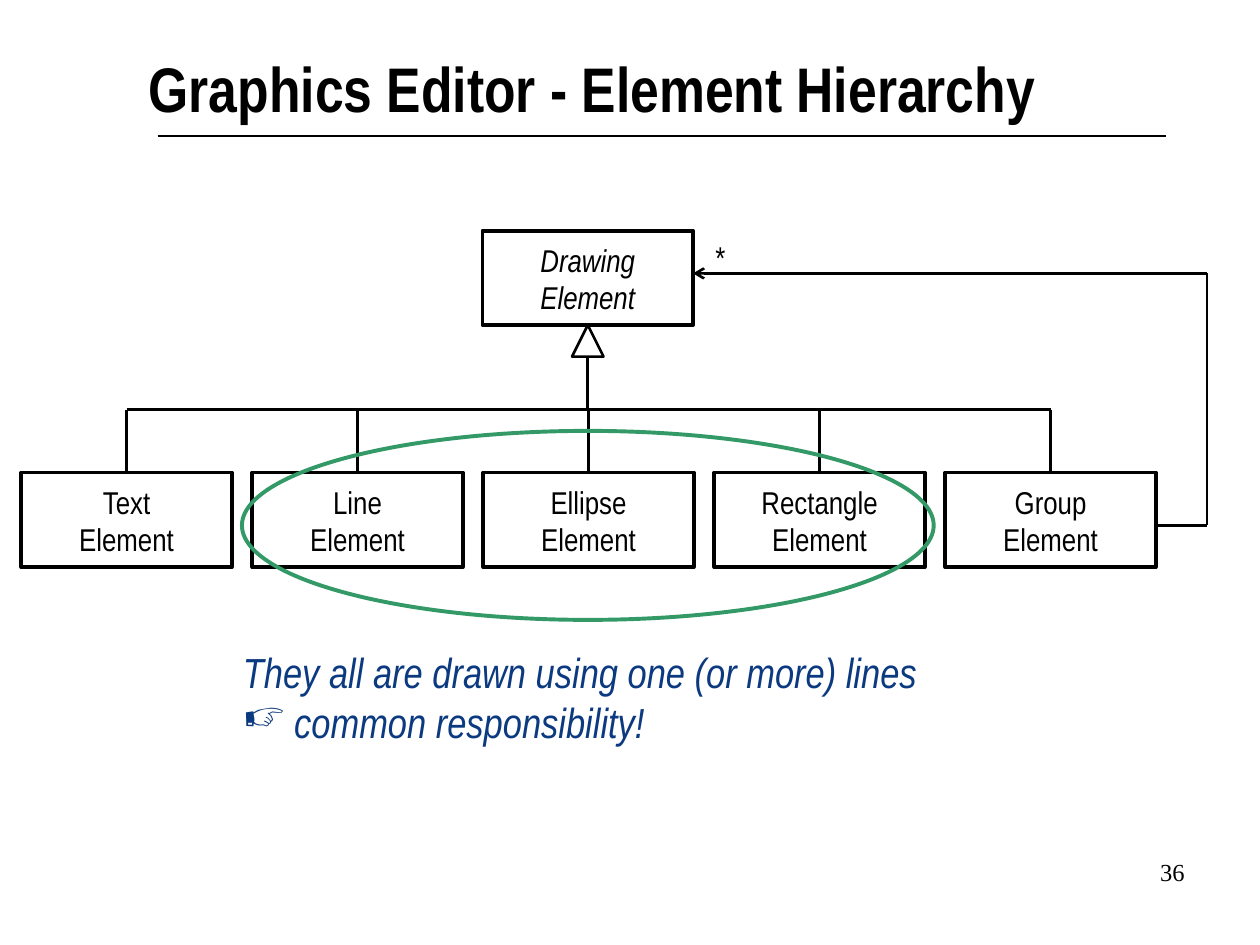
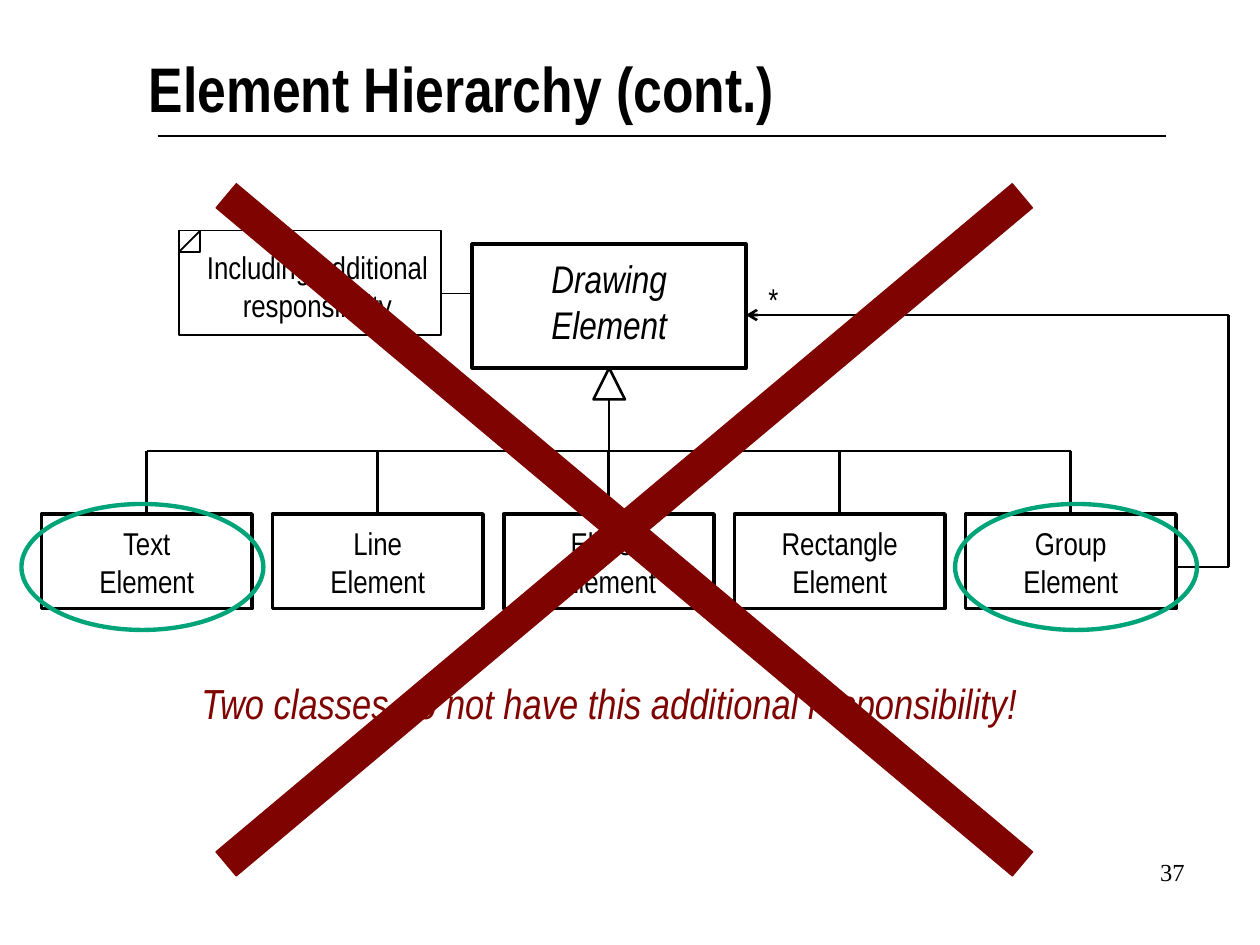
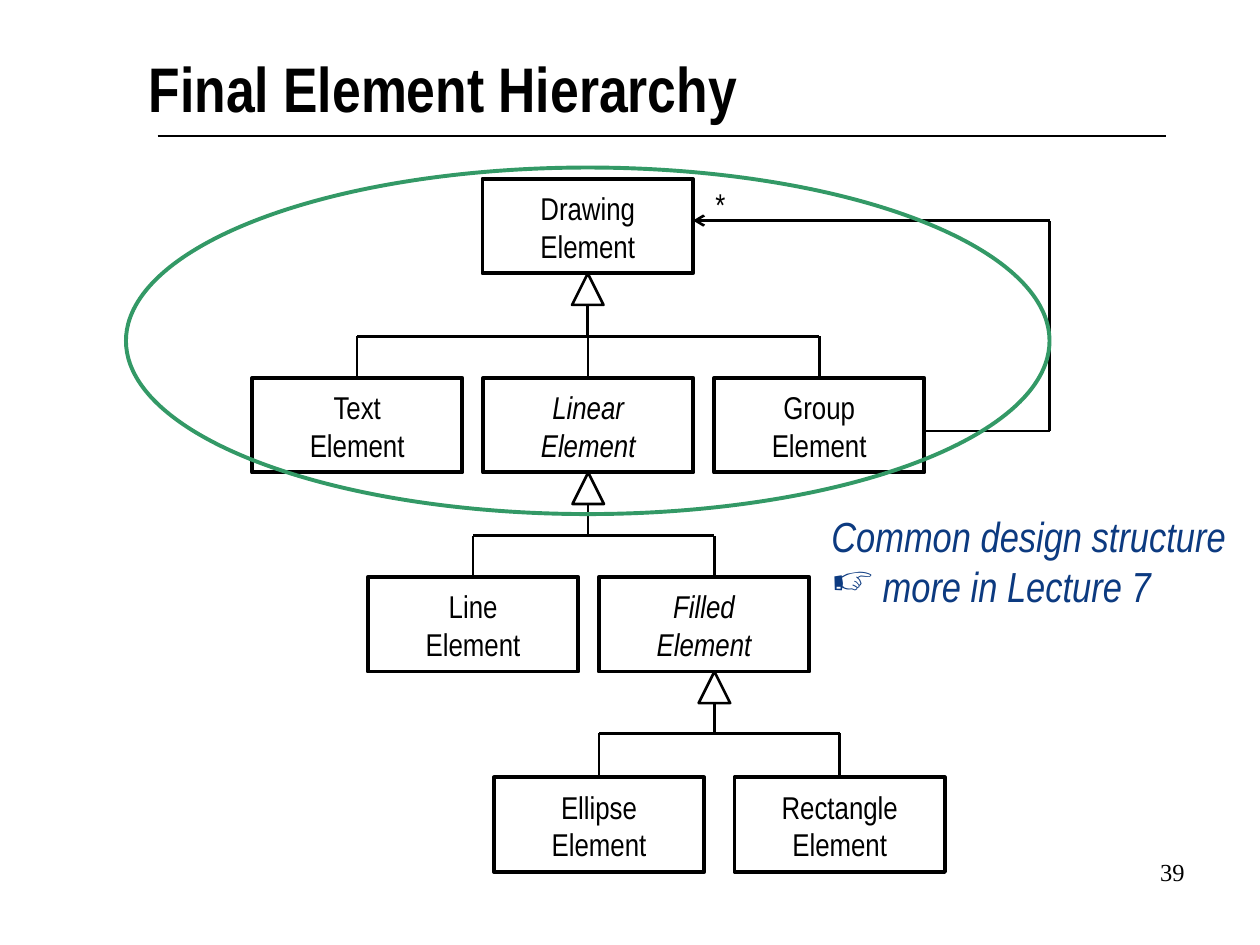
from lxml import etree
from pptx import Presentation
from pptx import util as u
from pptx.dml.color import RGBColor
from pptx.enum import shapes, text
from pptx.oxml import ns

Inches = u.Inches
SHAPE = shapes.MSO_SHAPE
ALIGN = text.PP_ALIGN

BLACK = RGBColor(0x00, 0x00, 0x00)
GREEN = RGBColor(0x33, 0x99, 0x66)
TEAL = RGBColor(0x00, 0xA4, 0x79)
BLUE = RGBColor(0x0C, 0x3A, 0x80)
RED = RGBColor(0x7F, 0x03, 0x00)

SANS = "Arial Narrow"
SERIF = "Times New Roman"
BOX_W, BOX_H = 1.67, 0.75
PITCH = 11 / 6          # distance between neighbouring class boxes
ARROW_SIDE = 0.25


# Basic elements
def line(s, x1, y1, x2, y2, width=1.5, arrow=False):
    c = s.shapes.add_connector(shapes.MSO_CONNECTOR.STRAIGHT,
                               Inches(x1), Inches(y1), Inches(x2), Inches(y2))
    c.line.color.rgb = BLACK
    c.line.width = u.Pt(width)
    if arrow:
        tail = etree.SubElement(c.line._get_or_add_ln(), ns.qn("a:tailEnd"))
        tail.set("type", "arrow")
    etree.SubElement(c._element.spPr, ns.qn("a:effectLst"))
    return c


def shape(s, kind, x, y, w, h, color=BLACK, width=2.25, fill=None):
    sp = s.shapes.add_shape(kind, Inches(x), Inches(y), Inches(w), Inches(h))
    sp.shadow.inherit = False
    sp.line.color.rgb = color
    sp.line.width = u.Pt(width)
    if fill is None:
        sp.fill.background()
    else:
        sp.fill.solid()
        sp.fill.fore_color.rgb = fill
    return sp


def style(tf, size, color=BLACK, font=SANS, bold=False, italic=False, align=ALIGN.LEFT):
    for p in tf.paragraphs:
        p.alignment = align
        for r in p.runs:
            r.font.name = font
            r.font.size = u.Pt(size)
            r.font.bold = bold
            r.font.italic = italic
            r.font.color.rgb = color


def label(s, words, x, y, w, h, size=18, wrap=False, **look):
    sp = s.shapes.add_textbox(Inches(x), Inches(y), Inches(w), Inches(h))
    tf = sp.text_frame
    tf.word_wrap = wrap
    tf.text = words
    style(tf, size, **look)
    return tf


def remark(s, words, x, y, w, h, color):
    """Large italic comment; a second paragraph gets a pointing hand."""
    tf = label(s, words, x, y, w, h, 24, color=color, italic=True)
    for p in tf.paragraphs[1:]:
        pPr = p._p.get_or_add_pPr()
        pPr.set("marL", "0")
        pPr.set("indent", "0")
        etree.SubElement(pPr, ns.qn("a:buChar")).set("char", "☞")


# Class diagram elements
def class_box(s, name, x, y, w=BOX_W, h=BOX_H, size=18, abstract=False):
    sp = shape(s, SHAPE.RECTANGLE, x, y, w, h)
    tf = sp.text_frame
    tf.word_wrap = True
    tf.vertical_anchor = text.MSO_ANCHOR.TOP
    tf.margin_top = Inches(0.08)
    tf.text = name + "\vElement"
    style(tf, size, italic=abstract, align=ALIGN.CENTER)
    return sp


def class_row(s, names, x, y, abstract=(), pitch=PITCH):
    return [class_box(s, name, x + i * pitch, y, abstract=name in abstract)
            for i, name in enumerate(names)]


def center_x(sp):
    return (sp.left + sp.width / 2) / Inches(1)


def inheritance(s, parent, children, bus_y, stem_x=None, last_x=None):
    """Triangle under the parent, a stem, a bus and a drop to each child."""
    stem_x = stem_x or center_x(parent)
    top = (parent.top + parent.height) / Inches(1)
    shape(s, SHAPE.ISOSCELES_TRIANGLE, stem_x - ARROW_SIDE / 2, top,
          ARROW_SIDE, ARROW_SIDE, width=1.5)
    line(s, stem_x, bus_y, stem_x, top + ARROW_SIDE)
    drops = [center_x(child) for child in children]
    if last_x:
        drops[-1] = last_x
    for child, x in zip(children, drops):
        drop = line(s, x, child.top / Inches(1), x, bus_y)
        if x == center_x(child):
            drop.begin_connect(child, 0)
    line(s, drops[0], bus_y, drops[-1], bus_y)


def containment(s, group, root, far_x, root_y):
    """Path from the group's right side back to the root, marked '*'."""
    group_x = (group.left + group.width) / Inches(1)
    group_y = group.top / Inches(1) + 0.42
    root_x = (root.left + root.width) / Inches(1)
    line(s, group_x, group_y, far_x, group_y)
    line(s, far_x, group_y, far_x, root_y)
    line(s, far_x, root_y, root_x, root_y, arrow=True)
    label(s, "*", root_x + 0.08, root_y - 0.33, 0.28, 0.4)


def note(s, words, x, y, w, h):
    corner = 0.17
    shape(s, SHAPE.RECTANGLE, x, y, w, h, width=1)
    label(s, words, x + 0.12, y + 0.09, 1.96, 0.7, align=ALIGN.CENTER)
    shape(s, SHAPE.RECTANGLE, x, y, corner, corner, width=1)
    line(s, x + corner, y, x, y + corner, 1)


# Slide frame: title, rule and page number
def new_slide(prs, title, number):
    s = prs.slides.add_slide(prs.slide_layouts[6])
    line(s, 1.25, 1.08, 9.25, 1.08, 0.75)
    tf = label(s, title, 1.18, 0.39, 7.65, 0.75, 36, wrap=True, bold=True)
    tf.margin_left = tf.margin_top = tf.margin_right = tf.margin_bottom = 0
    label(s, str(number), 7.42, 6.75, 2.08, 0.5, 14, wrap=True,
          font=SERIF, align=ALIGN.RIGHT)
    return s


LEAVES = ["Text", "Line", "Ellipse", "Rectangle", "Group"]


def element_hierarchy(prs):
    s = new_slide(prs, "Graphics Editor - Element Hierarchy", 36)
    root = class_box(s, "Drawing", 3.83, 1.83, abstract=True)
    leaves = class_row(s, LEAVES, 0.17, 3.75)
    inheritance(s, root, leaves, 3.25)
    containment(s, leaves[-1], root, 9.58, 2.17)
    shape(s, SHAPE.OVAL, 1.92, 3.42, 5.49, 1.5, GREEN)
    remark(s, "They all are drawn using one (or more) lines\n common responsibility!",
           1.83, 5.08, 5.77, 0.91, BLUE)


def rejected_hierarchy(prs):
    s = new_slide(prs, "Element Hierarchy (cont.)", 37)
    root = class_box(s, "Drawing", 3.75, 1.94, 2.17, 0.98, 22, abstract=True)
    leaves = class_row(s, LEAVES, 0.33, 4.08)
    inheritance(s, root, leaves, 3.58)
    containment(s, leaves[-1], root, 9.75, 2.5)
    note(s, "Including additional\vresponsibility", 1.42, 1.83, 2.08, 0.83)
    line(s, 3.5, 2.33, 3.75, 2.33, 1)
    for x in (0.17, 7.58):
        shape(s, SHAPE.OVAL, x, 4, 1.92, 1, TEAL, 2.5)
    remark(s, "Two classes do not have this additional responsibility!",
           1.5, 5.33, 6.69, 0.5, RED)
    # Cross the design out
    for angle in (320, 40):
        bar = shape(s, SHAPE.RECTANGLE, 0.83, 4.08, 8.25, 0.25, RED, 0.75, RED)
        bar.rotation = angle


def final_hierarchy(prs):
    s = new_slide(prs, "Final Element Hierarchy", 39)
    root = class_box(s, "Drawing", 3.83, 1.42)
    kinds = class_row(s, ["Text", "Linear", "Group"], 2, 3, abstract=["Linear"])
    linear = class_row(s, ["Line", "Filled"], 2.92, 4.58, abstract=["Filled"])
    filled = class_row(s, ["Ellipse", "Rectangle"], 3.92, 6.17, pitch=1.91)
    containment(s, kinds[-1], root, 8.33, 1.75)
    inheritance(s, root, kinds, 2.67)
    inheritance(s, kinds[1], linear, 4.25, last_x=5.67)
    inheritance(s, linear[1], filled, 5.82, stem_x=5.67)
    shape(s, SHAPE.OVAL, 1, 1.33, 7.33, 2.75, GREEN)
    remark(s, "Common design structure\n more in Lecture 7", 6.5, 4, 3.37, 0.91, BLUE)


def main():
    prs = Presentation()
    prs.slide_width, prs.slide_height = Inches(10), Inches(7.5)
    element_hierarchy(prs)
    rejected_hierarchy(prs)
    final_hierarchy(prs)
    prs.save("out.pptx")


if __name__ == "__main__":
    main()
